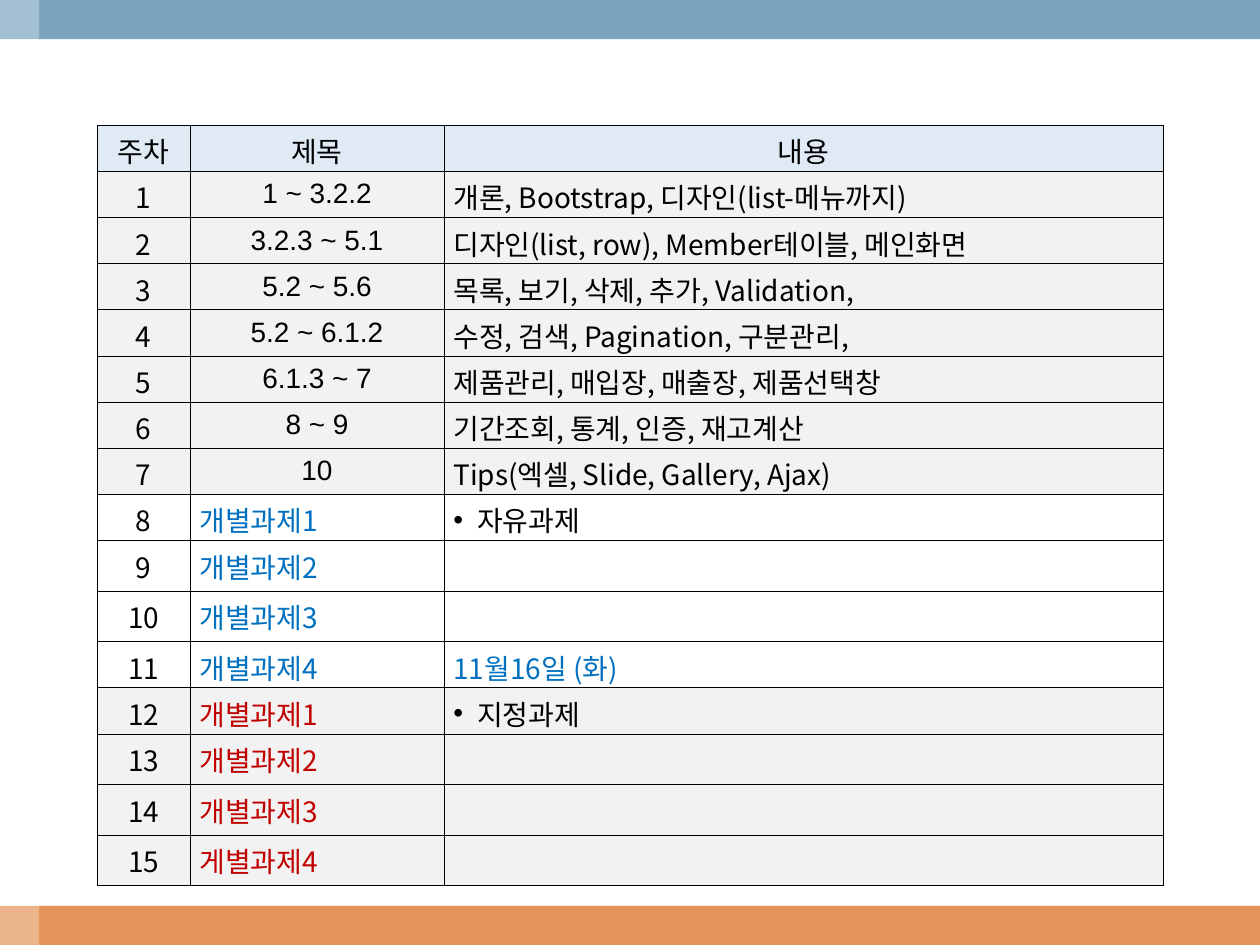
from lxml import etree
from pptx import Presentation
from pptx.dml.color import RGBColor
from pptx.enum.shapes import MSO_SHAPE
from pptx.enum.text import MSO_ANCHOR, PP_ALIGN
from pptx.oxml.ns import qn
from pptx.util import Cm, Pt

RECT = MSO_SHAPE.RECTANGLE
TOP, MID = MSO_ANCHOR.TOP, MSO_ANCHOR.MIDDLE
LEFT, CENTER, JUST = PP_ALIGN.LEFT, PP_ALIGN.CENTER, PP_ALIGN.JUSTIFY
SANS, KOREAN = "Arial", "Noto Sans CJK KR"
LOW, TALL = Cm(0.93), Cm(1.02)
HEX = {
    "sky": "7BA5BE", "clay": "E49458", "white": "FFFFFF", "black": "000000",
    "head": "DFEAF5", "gray": "F2F2F2", "blue": "0070C0", "red": "C00000",
}

# Course plan: chapters and content of the lecture weeks
TALKS = [
    ("1 ~ 3.2.2", "개론, Bootstrap, 디자인(list-메뉴까지)"),
    ("3.2.3 ~ 5.1", "디자인(list, row), Member테이블, 메인화면"),
    ("5.2 ~ 5.6", "목록, 보기, 삭제, 추가, Validation,"),
    ("5.2 ~ 6.1.2", "수정, 검색, Pagination, 구분관리,"),
    ("6.1.3 ~ 7", "제품관리, 매입장, 매출장, 제품선택창"),
    ("8 ~ 9", "기간조회, 통계, 인증, 재고계산"),
    ("10", "Tips(엑셀, Slide, Gallery, Ajax)"),
]
# Project weeks: title, content, and whether the content has a bullet
FREE = [("개별과제1", "자유과제", True), ("개별과제2", "", False),
        ("개별과제3", "", False), ("개별과제4", "11월16일 (화)", False)]
GIVEN = [("개별과제1", "지정과제", True), ("개별과제2", "", False),
         ("개별과제3", "", False), ("게별과제4", "", False)]


def color(name):
    return RGBColor.from_string(HEX[name])


def write(cell, text, font=KOREAN, tint="black", align=LEFT, bullet=False):
    para = cell.text_frame.paragraphs[0]
    para.alignment = align
    run = para.add_run()
    run.text = text
    run.font.size = Pt(16)
    run.font.name = font
    run.font.color.rgb = color(tint)
    east = etree.SubElement(run.font._element, qn("a:ea"))
    east.set("typeface", KOREAN)
    if font == SANS:
        cell.vertical_anchor = MID
        cell.margin_bottom = cell.margin_top
    if bullet:
        props = para._p.get_or_add_pPr()
        props.set("marL", str(Cm(0.48)))
        props.set("indent", str(-Cm(0.48)))
        etree.SubElement(props, qn("a:buFont")).set("typeface", SANS)
        etree.SubElement(props, qn("a:buChar")).set("char", "•")


def paint(cell, fill):
    # Thin black edges come before the fill in the cell properties
    props = cell._tc.get_or_add_tcPr()
    for side in ("lnL", "lnR", "lnT", "lnB"):
        edge = etree.SubElement(props, qn(f"a:{side}"), w=str(Pt(0.11)))
        solid = etree.SubElement(edge, qn("a:solidFill"))
        etree.SubElement(solid, qn("a:srgbClr"), val=HEX["black"])
    cell.fill.solid()
    cell.fill.fore_color.rgb = color(fill)
    # The tall Korean font needs the whole row below the top margin
    cell.vertical_anchor = TOP
    cell.margin_left = cell.margin_right = Cm(0.19)
    cell.margin_top, cell.margin_bottom = Cm(0.11), 0


def bar(slide, x, y, w, h, fill, alpha=None):
    shape = slide.shapes.add_shape(RECT, x, y, w, h)
    shape.shadow.inherit = False
    shape.line.fill.background()
    shape.fill.solid()
    shape.fill.fore_color.rgb = color(fill)
    if alpha:
        tone = shape.fill._xPr.find(".//" + qn("a:srgbClr"))
        etree.SubElement(tone, qn("a:alpha"), val=str(alpha * 1000))


def frame(slide, w, h):
    thick = Cm(0.79)
    bar(slide, 0, h - thick, w, thick, "clay")
    bar(slide, 0, 0, w, thick, "sky")
    bar(slide, 0, 0, thick, h, "white", alpha=30)


def plan(slide, x, y, w):
    count = 1 + len(TALKS) + len(FREE) + len(GIVEN)
    grid = slide.shapes.add_table(count, 3, x, y, w, LOW * count).table
    for col, width in zip(grid.columns, (1.87, 5.12, 14.5)):
        col.width = Cm(width)

    # Header
    for cell, text in zip(grid.rows[0].cells, ("주차", "제목", "내용")):
        paint(cell, "head")
        write(cell, text, align=CENTER)

    # Lecture weeks
    for week, (title, note) in enumerate(TALKS, 1):
        cells = list(grid.rows[week].cells)
        for cell in cells:
            paint(cell, "gray")
        write(cells[0], str(week), align=CENTER)
        write(cells[1], title, font=SANS, align=CENTER)
        write(cells[2], note)

    # Project weeks, taller where the content is open
    week = len(TALKS)
    for items, fill, tint in ((FREE, "white", "blue"), (GIVEN, "gray", "red")):
        for title, note, bullet in items:
            week += 1
            row = grid.rows[week]
            row.height = LOW if note else TALL
            cells = list(row.cells)
            for cell in cells:
                paint(cell, fill)
            write(cells[0], str(week), align=CENTER)
            write(cells[1], title, tint=tint)
            if note:
                write(cells[2], note, tint="black" if bullet else tint,
                      align=JUST, bullet=bullet)


def main():
    deck = Presentation()
    deck.slide_width, deck.slide_height = Cm(25.4), Cm(19.05)
    slide = deck.slides.add_slide(deck.slide_layouts[6])
    frame(slide, deck.slide_width, deck.slide_height)
    plan(slide, Cm(1.96), Cm(2.52), Cm(21.49))
    deck.save("out.pptx")


if __name__ == "__main__":
    main()
